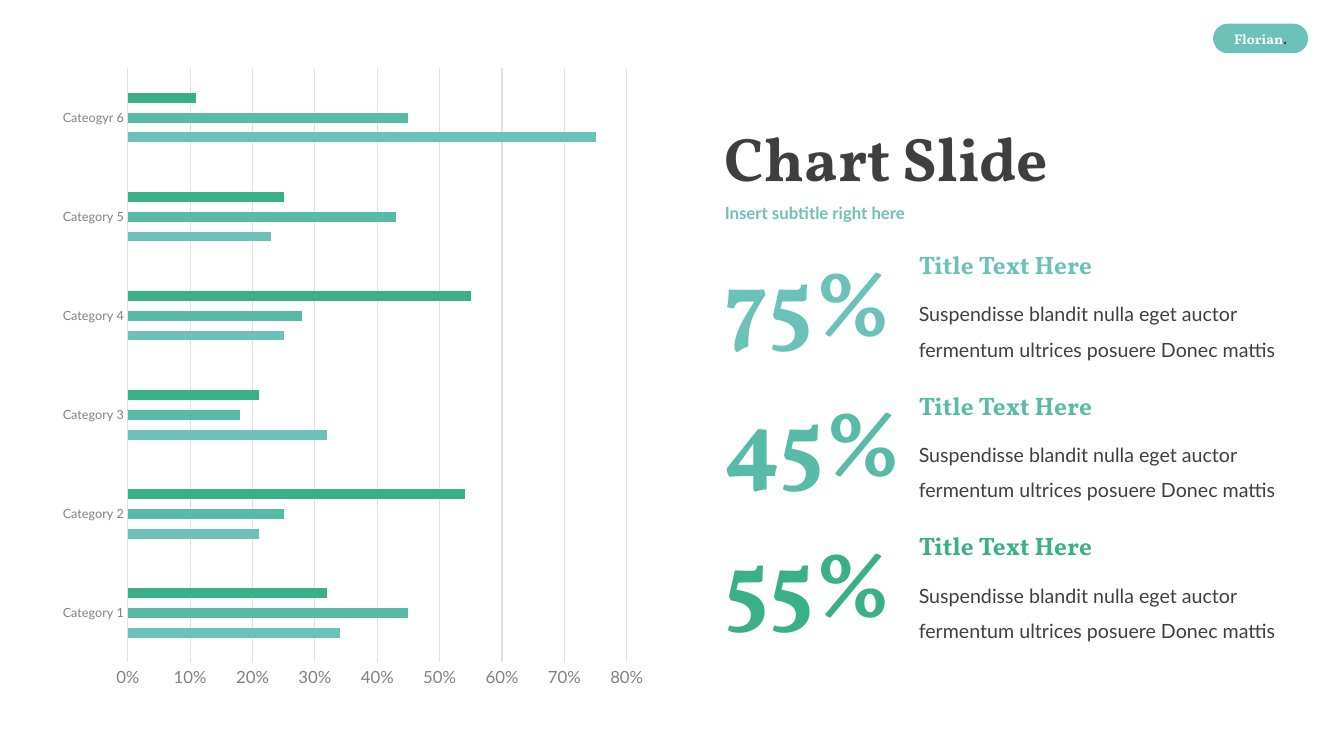
"""Build a slide with a clustered bar chart beside three headline percentages."""

import dataclasses
from typing import NamedTuple

import pptx
import pptx.chart.chart
import pptx.chart.data
import pptx.dml.color
import pptx.dml.fill
import pptx.enum.chart
import pptx.enum.shapes
import pptx.enum.text
import pptx.oxml
import pptx.oxml.ns
import pptx.shapes.autoshape
import pptx.slide
import pptx.text.text
import pptx.util


@dataclasses.dataclass(frozen=True)
class Theme:
    heading_font: str = "Vollkorn"
    body_font: str = "Lato"
    white: str = "FFFFFF"
    dark: str = "3F3F3F"
    grey: str = "828282"
    rule: str = "E2E2E2"
    aqua: str = "6CC2B8"
    teal: str = "57BBA7"
    green: str = "3AB086"
    title_size: float = 44
    subtitle_size: float = 12
    value_size: float = 66
    heading_size: float = 18
    body_size: float = 14
    badge_size: float = 10
    category_size: float = 9
    scale_size: float = 12
    rule_width: float = 0.75


class Area(NamedTuple):
    column: float
    row: float
    columns: float
    rows: float

    def down(self, rows: float) -> "Area":
        return self._replace(row=self.row + rows)


class Style(NamedTuple):
    font: str
    size: float
    color: str
    bold: bool = False
    line_spacing: float = 1.0


class Statistic(NamedTuple):
    value: str
    color: str


class Series(NamedTuple):
    name: str
    values: tuple[float, ...]
    color: str


THEME = Theme()
COLUMNS, ROWS = 160, 90
SLIDE_WIDTH, SLIDE_HEIGHT = pptx.util.Inches(13.33), pptx.util.Inches(7.5)

BADGE_AREA = Area(144.5, 2.9, 11.15, 3.35)
TITLE_AREA = Area(85.1, 13.1, 74, 12.35)
SUBTITLE_AREA = Area(85.1, 23.2, 74, 4.5)
CHART_AREA = Area(6.1, 6.25, 71.3, 77.5)
VALUE_AREA = Area(85.1, 28.45, 24.85, 14.5)
HEADING_AREA = Area(108.2, 29.1, 29.15, 4.8)
BODY_AREA = Area(108.2, 34, 47.2, 9.25)
STATISTIC_PITCH = 16.74

BODY_TEXT = "Suspendisse blandit nulla eget auctor fermentum ultrices posuere Donec mattis"
STATISTICS = (
    Statistic("75%", THEME.aqua),
    Statistic("45%", THEME.teal),
    Statistic("55%", THEME.green),
)
CATEGORIES = ("Category 1", "Category 2", "Category 3", "Category 4", "Category 5", "Cateogyr 6")
SERIES = (
    Series("Series 1", (0.34, 0.21, 0.32, 0.25, 0.23, 0.75), THEME.aqua),
    Series("Series 2", (0.45, 0.25, 0.18, 0.28, 0.43, 0.45), THEME.teal),
    Series("Series 3", (0.32, 0.54, 0.21, 0.55, 0.25, 0.11), THEME.green),
)
PLOT_SHARES = {"x": 0.128, "y": 0.024, "w": 0.833, "h": 0.913}


def place(area: Area) -> tuple[int, int, int, int]:
    cell_width, cell_height = SLIDE_WIDTH / COLUMNS, SLIDE_HEIGHT / ROWS
    return (
        round(area.column * cell_width),
        round(area.row * cell_height),
        round(area.columns * cell_width),
        round(area.rows * cell_height),
    )


def paint(fill: pptx.dml.fill.FillFormat, color: str) -> None:
    fill.solid()
    fill.fore_color.rgb = pptx.dml.color.RGBColor.from_string(color)


def set_font(font: pptx.text.text.Font, style: Style) -> None:
    font.name = style.font
    font.size = pptx.util.Pt(style.size)
    font.bold = style.bold
    font.color.rgb = pptx.dml.color.RGBColor.from_string(style.color)


def add_text(slide: pptx.slide.Slide, area: Area, text: str, style: Style, middle: bool = False) -> None:
    frame = slide.shapes.add_textbox(*place(area)).text_frame
    frame.word_wrap = True
    anchors = pptx.enum.text.MSO_ANCHOR
    frame.vertical_anchor = anchors.MIDDLE if middle else anchors.TOP
    paragraph = frame.paragraphs[0]
    paragraph.text = text
    paragraph.line_spacing = style.line_spacing
    set_font(paragraph.font, style)


def add_badge(slide: pptx.slide.Slide) -> None:
    badge = slide.shapes.add_shape(pptx.enum.shapes.MSO_SHAPE.ROUNDED_RECTANGLE, *place(BADGE_AREA))
    badge.adjustments[0] = 0.5
    badge.shadow.inherit = False
    paint(badge.fill, THEME.aqua)
    paint(badge.line.fill, THEME.aqua)
    badge.line.width = pptx.util.Pt(1)
    frame = badge.text_frame
    frame.margin_top = frame.margin_bottom = 0
    frame.vertical_anchor = pptx.enum.text.MSO_ANCHOR.MIDDLE
    paragraph = frame.paragraphs[0]
    paragraph.alignment = pptx.enum.text.PP_ALIGN.CENTER
    for text, color in (("Florian", THEME.white), (".", THEME.dark)):
        run = paragraph.add_run()
        run.text = text
        set_font(run.font, Style(THEME.heading_font, THEME.badge_size, color, True))


def set_plot_layout(chart: pptx.chart.chart.Chart) -> None:
    settings = [("layoutTarget", "inner"), ("xMode", "edge"), ("yMode", "edge"), *PLOT_SHARES.items()]
    children = "".join(f'<c:{name} val="{value}"/>' for name, value in settings)
    namespace = pptx.oxml.ns.nsdecls("c")
    layout = f"<c:layout {namespace}><c:manualLayout>{children}</c:manualLayout></c:layout>"
    plot_area = chart.element.xpath("c:chart/c:plotArea")[0]
    for existing in plot_area.xpath("c:layout"):
        plot_area.remove(existing)
    plot_area.insert(0, pptx.oxml.parse_xml(layout))


def add_bar_chart(slide: pptx.slide.Slide) -> None:
    data = pptx.chart.data.CategoryChartData(number_format="0%")
    data.categories = CATEGORIES
    for series in SERIES:
        data.add_series(series.name, series.values)
    kind = pptx.enum.chart.XL_CHART_TYPE.BAR_CLUSTERED
    chart = slide.shapes.add_chart(kind, *place(CHART_AREA), data).chart
    chart.has_title = chart.has_legend = False
    set_font(chart.font, Style(THEME.body_font, 10, THEME.dark))
    plot = chart.plots[0]
    plot.gap_width, plot.overlap, plot.vary_by_categories = 500, -100, False
    for drawn, series in zip(plot.series, SERIES):
        paint(drawn.format.fill, series.color)
    category_axis, value_axis = chart.category_axis, chart.value_axis
    for axis, size in ((category_axis, THEME.category_size), (value_axis, THEME.scale_size)):
        axis.major_tick_mark = axis.minor_tick_mark = pptx.enum.chart.XL_TICK_MARK.NONE
        set_font(axis.tick_labels.font, Style(THEME.body_font, size, THEME.grey))
    value_axis.minimum_scale, value_axis.maximum_scale, value_axis.major_unit = 0, 0.8, 0.1
    value_axis.tick_labels.number_format = "0%"
    value_axis.tick_labels.number_format_is_linked = False
    value_axis.format.line.fill.background()
    value_axis.has_major_gridlines = True
    for line in (category_axis.format.line, value_axis.major_gridlines.format.line):
        paint(line.fill, THEME.rule)
        line.width = pptx.util.Pt(THEME.rule_width)
    set_plot_layout(chart)


def add_statistic(slide: pptx.slide.Slide, statistic: Statistic, offset: float) -> None:
    value_style = Style(THEME.heading_font, THEME.value_size, statistic.color, True)
    heading_style = Style(THEME.heading_font, THEME.heading_size, statistic.color, True)
    body_style = Style(THEME.body_font, THEME.body_size, THEME.dark, line_spacing=1.5)
    add_text(slide, VALUE_AREA.down(offset), statistic.value, value_style)
    add_text(slide, BODY_AREA.down(offset), BODY_TEXT, body_style)
    add_text(slide, HEADING_AREA.down(offset), "Title Text Here", heading_style)


def main() -> None:
    presentation = pptx.Presentation()
    presentation.slide_width, presentation.slide_height = SLIDE_WIDTH, SLIDE_HEIGHT
    slide = presentation.slides.add_slide(presentation.slide_layouts[6])
    add_badge(slide)
    title_style = Style(THEME.heading_font, THEME.title_size, THEME.dark, True, 0.9)
    subtitle_style = Style(THEME.body_font, THEME.subtitle_size, THEME.aqua, True, 0.9)
    add_text(slide, TITLE_AREA, "Chart Slide", title_style, middle=True)
    add_text(slide, SUBTITLE_AREA, "Insert subtitle right here", subtitle_style, middle=True)
    add_bar_chart(slide)
    for index, statistic in enumerate(STATISTICS):
        add_statistic(slide, statistic, index * STATISTIC_PITCH)
    presentation.save("out.pptx")


if __name__ == "__main__":
    main()
